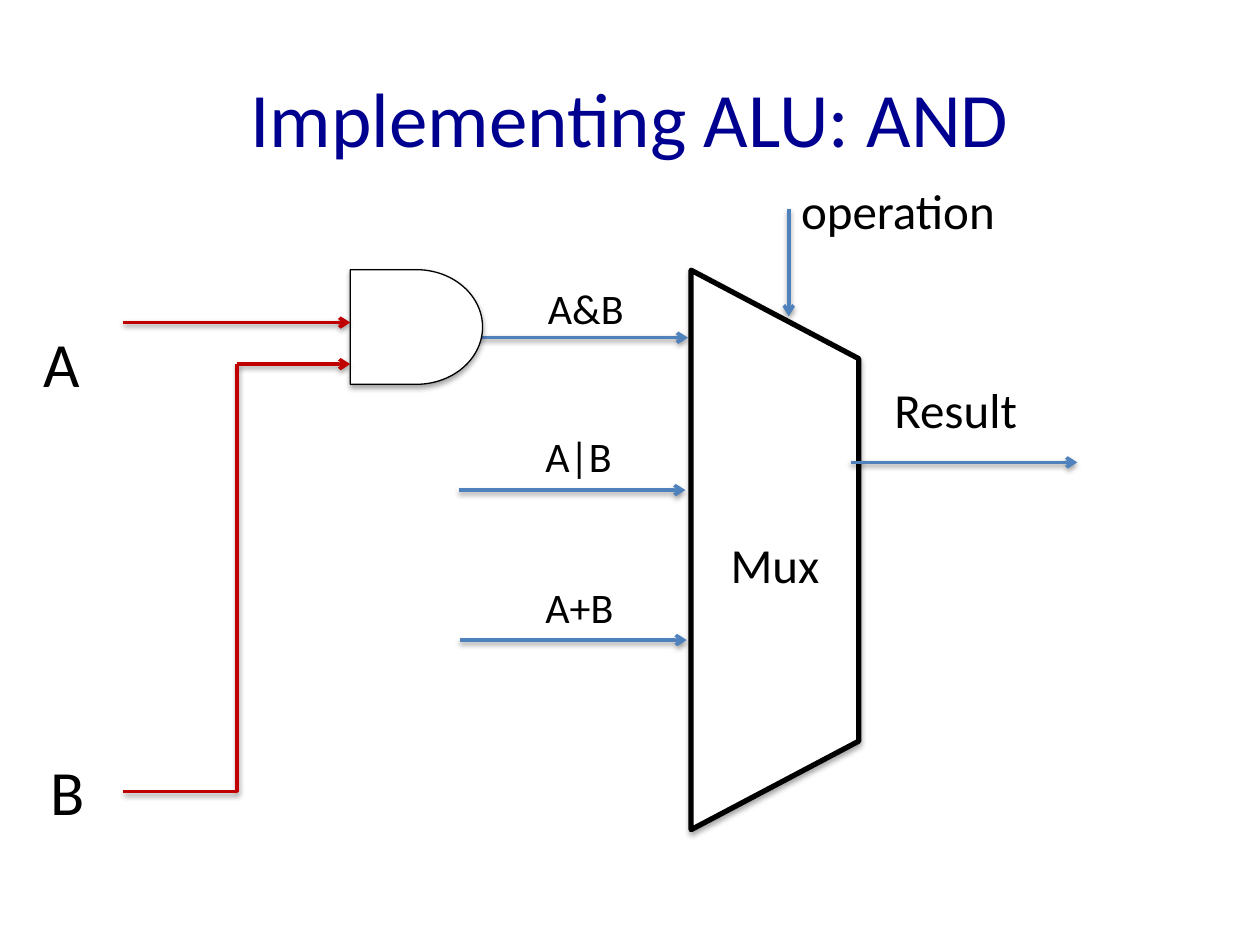
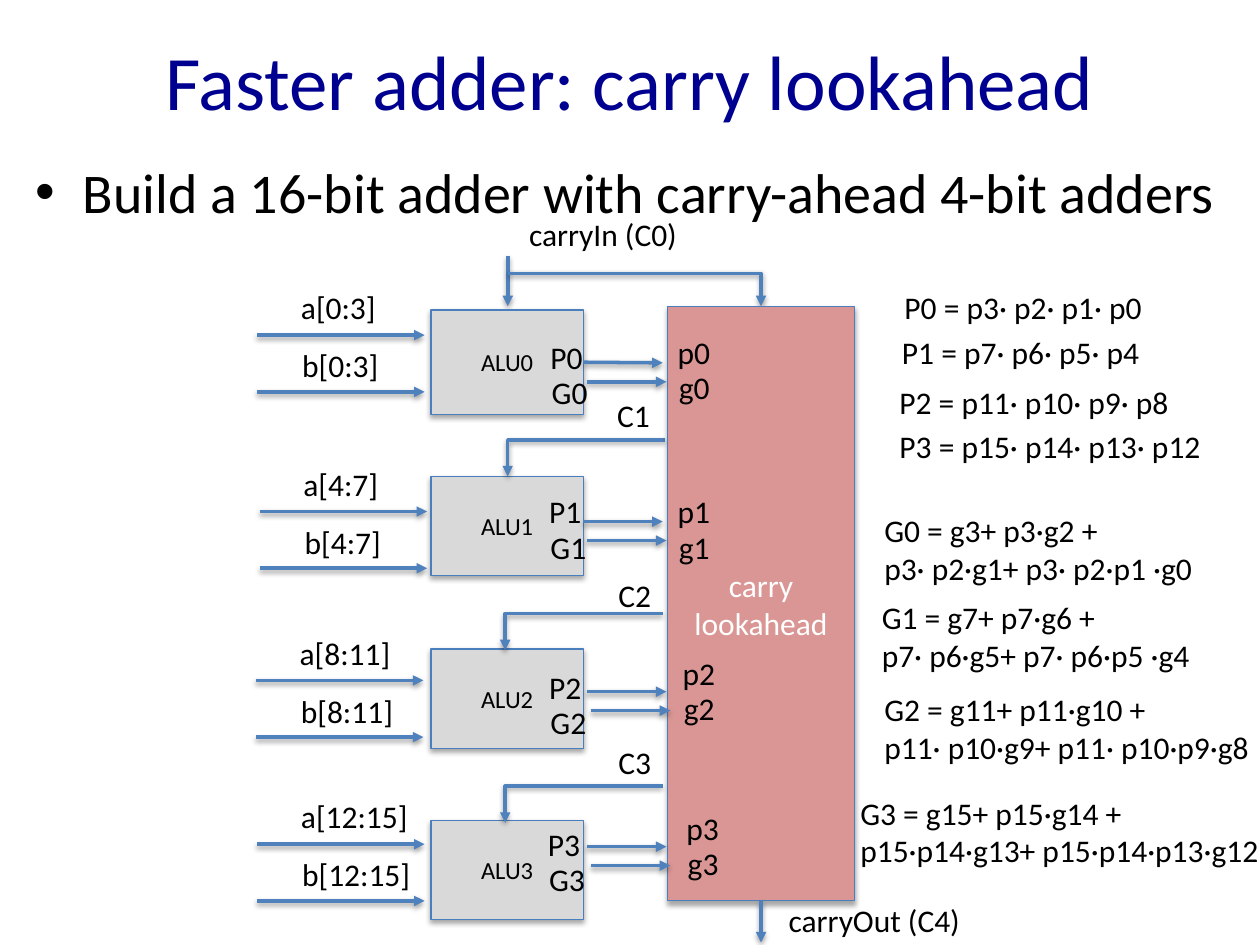
from dataclasses import dataclass

import pptx
import pptx.dml.color
import pptx.enum.shapes
import pptx.enum.text
import pptx.oxml
import pptx.oxml.ns
import pptx.util

Inches = pptx.util.Inches
Pt = pptx.util.Pt
Shape = pptx.enum.shapes.MSO_SHAPE
Link = pptx.enum.shapes.MSO_CONNECTOR
Anchor = pptx.enum.text.MSO_ANCHOR
Align = pptx.enum.text.PP_ALIGN
AutoSize = pptx.enum.text.MSO_AUTO_SIZE
LEFT, RIGHT, BOTTOM = 1, 3, 2


@dataclass(frozen=True)
class Theme:
    font: str = "Calibri"
    title: str = "000090"
    ink: str = "000000"
    paper: str = "FFFFFF"
    wire: str = "4F81BD"
    source_wire: str = "C00000"
    box_line: str = "4B7EBC"
    alu: str = "D9D9D9"
    lookahead: str = "D99694"
    title_size: int = 44
    bullet_size: int = 32
    port_size: int = 36
    name_size: int = 28
    choice_size: int = 24
    label_size: int = 18
    alu_size: int = 14
    wire_width: float = 2


T = Theme()


@dataclass(frozen=True)
class Stage:
    """One 4-bit ALU with the places of its wires and labels."""
    top: float
    height: float
    bits: str
    label_width: float
    inputs: tuple
    outputs: tuple
    upper: tuple
    lower: tuple


STAGES = [
    Stage(2.46, 0.83, "[0:3]", 0.8, (2.04, 2.66), (4.63, 2.88), (4.27, 2.63), (5.28, 2.59)),
    Stage(3.78, 0.79, "[4:7]", 0.8, (2.06, 4.06), (4.63, 4.14), (4.26, 3.86), (5.28, 3.86)),
    Stage(5.15, 0.79, "[8:11]", 0.93, (2.03, 5.4), (4.66, 5.49), (4.26, 5.25), (5.32, 5.14)),
    Stage(6.51, 0.79, "[12:15]", 1.06, (2.04, 6.7), (4.66, 6.72), (4.25, 6.5), (5.35, 6.37)),
]

# Start of each carry wire, then the place of its label
CARRIES = [
    ((5.28, 3.49), (4.8, 3.09)),
    ((5.26, 4.87), (4.81, 4.52)),
    ((5.26, 6.24), (4.81, 5.85)),
]

FORMULAS = [
    (7.08, 2.24, 2.11, ["P0 = p3· p2· p1· p0"]),
    (7.06, 2.59, 2.11, ["P1 = p7· p6· p5· p4"]),
    (7.04, 2.99, 2.37, ["P2 = p11· p10· p9· p8"]),
    (7.04, 3.34, 2.62, ["P3 = p15· p14· p13· p12"]),
    (6.92, 4.01, 2.73, ["G0 = g3+ p3·g2 +", "p3· p2·g1+ p3· p2·p1 ·g0"]),
    (6.9, 4.7, 2.73, ["G1 = g7+ p7·g6 +", "p7· p6·g5+ p7· p6·p5 ·g4"]),
    (6.92, 5.43, 3.19, ["G2 = g11+ p11·g10 +", "p11· p10·g9+ p11· p10·p9·g8"]),
    (6.73, 6.25, 3.57, ["G3 = g15+ p15·g14 +", "p15·p14·g13+ p15·p14·p13·g12"]),
]


# Formatting helpers
def rgb(color):
    return pptx.dml.color.RGBColor.from_string(color)


def apply(target, values):
    for name, value in values.items():
        setattr(target, name, value)


def add_xml(parent, xml):
    ns = pptx.oxml.ns.nsdecls("a")
    parent.append(pptx.oxml.parse_xml(xml.replace(" ", f" {ns} ", 1)))


def add_shadow(s, alpha, distance):
    add_xml(s.element.spPr, (
        f'<a:effectLst ><a:outerShdw blurRad="{Pt(3.1)}" dist="{Pt(distance)}" '
        'dir="5400000" rotWithShape="0"><a:srgbClr val="000000">'
        f'<a:alpha val="{alpha * 1000}"/></a:srgbClr></a:outerShdw></a:effectLst>'))


def set_line(s, color, width):
    s.line.color.rgb = rgb(color)
    s.line.width = Pt(width)


def write(tf, lines, size, color=T.ink, align=Align.LEFT):
    for i, line in enumerate(lines):
        p = tf.paragraphs[0] if i == 0 else tf.add_paragraph()
        p.alignment = align
        r = p.add_run()
        r.text = line
        apply(r.font, {"name": T.font, "size": Pt(size)})
        r.font.color.rgb = rgb(color)


# Kinds of element
def add_text(slide, x, y, w, lines, size=T.label_size):
    h = 0.1 + len(lines) * size / 60
    tf = slide.shapes.add_textbox(Inches(x), Inches(y), Inches(w), Inches(h)).text_frame
    apply(tf, {"word_wrap": False, "auto_size": AutoSize.SHAPE_TO_FIT_TEXT})
    write(tf, lines, size)


def add_title(slide, y, text):
    tf = slide.shapes.add_textbox(Inches(0.5), Inches(y), Inches(9), Inches(1.25)).text_frame
    apply(tf, {"word_wrap": True, "vertical_anchor": Anchor.MIDDLE})
    write(tf, [text], T.title_size, T.title, Align.CENTER)


def add_bullet(slide, x, y, w, h, text):
    tf = slide.shapes.add_textbox(Inches(x), Inches(y), Inches(w), Inches(h)).text_frame
    tf.word_wrap = True
    write(tf, [text], T.bullet_size)
    p = tf.paragraphs[0]
    p.space_before = Pt(T.bullet_size * 0.2)
    pPr = p._p.get_or_add_pPr()
    pPr.set("marL", str(Inches(0.38)))
    pPr.set("indent", str(Inches(-0.38)))
    add_xml(pPr, '<a:buFont typeface="Arial"/>')
    add_xml(pPr, '<a:buChar char="•"/>')


def add_block(slide, kind, x, y, w, h, fill, line, width=0.75):
    s = slide.shapes.add_shape(kind, Inches(x), Inches(y), Inches(w), Inches(h))
    s.fill.solid()
    s.fill.fore_color.rgb = rgb(fill)
    set_line(s, line, width)
    add_shadow(s, 35, 1.8)
    return s


def add_box(slide, x, y, w, h, fill, lines, size, color=T.ink):
    s = add_block(slide, Shape.RECTANGLE, x, y, w, h, fill, T.box_line)
    apply(s.text_frame, {"word_wrap": True, "vertical_anchor": Anchor.MIDDLE})
    write(s.text_frame, lines, size, color, Align.CENTER)
    return s


def add_wire(slide, start, end, color=T.wire, head="triangle", bent=False):
    """Draw a wire; a bent one runs sideways first, then up or down."""
    kind = Link.ELBOW if bent else Link.STRAIGHT
    s = slide.shapes.add_connector(kind, *(Inches(v) for v in (*start, *end)))
    if bent:
        s.element.spPr.find(pptx.oxml.ns.qn("a:prstGeom")).set("prst", "bentConnector2")
    set_line(s, color, T.wire_width)
    if head:
        add_xml(s.line._get_or_add_ln(), f'<a:tailEnd type="{head}"/>')
    add_shadow(s, 38, 1.6)
    return s


# Slide 1
def build_and_slide(slide):
    add_title(slide, 0.3, "Implementing ALU: AND")

    # Multiplexer with its select input and its result
    mux = add_block(slide, Shape.TRAPEZOID, 3.93, 3.7, 4.44, 1.33, T.paper, T.ink, 3)
    mux.rotation = 90
    mux.adjustments[0] = 0.528
    add_text(slide, 5.7, 4.19, 0.92, ["Mux"], T.name_size)
    add_wire(slide, (6.75, 3.67), (8.55, 3.67), head="arrow")
    add_text(slide, 7, 2.96, 1.19, ["Result"], T.name_size)
    add_wire(slide, (6.26, 1.66), (6.26, 2.51), head="arrow")
    add_text(slide, 6.26, 1.38, 1.76, ["operation"], T.name_size)

    # Choices entering the multiplexer
    for label, x, y, label_x, label_y, w in [
        ("A&B", 3.66, 2.68, 4.25, 2.19, 0.81),
        ("A|B", 3.64, 3.89, 4.23, 3.37, 0.73),
        ("A+B", 3.65, 5.08, 4.23, 4.57, 0.75),
    ]:
        add_wire(slide, (x, y), (x + 1.8, y), head="arrow")
        add_text(slide, label_x, label_y, w, [label], T.choice_size)

    # AND gate and its two sources
    add_block(slide, Shape.FLOWCHART_DELAY, 2.78, 2.14, 1.05, 0.91, T.paper, T.ink)
    add_text(slide, 0.25, 2.53, 0.5, ["A"], T.port_size)
    add_text(slide, 0.3, 5.92, 0.48, ["B"], T.port_size)
    add_wire(slide, (0.98, 2.56), (2.78, 2.56), T.source_wire, "arrow")
    add_wire(slide, (1.88, 2.89), (2.78, 2.89), T.source_wire, "arrow")
    add_wire(slide, (0.98, 6.28), (1.88, 2.89), T.source_wire, None, bent=True)


# Slide 2
def add_alu(slide, i, stage):
    alu = add_box(slide, 3.42, stage.top, 1.21, stage.height, T.alu, [f"ALU{i}"], T.alu_size)
    x, y = stage.inputs
    for line_y in (y, y + 0.45):
        add_wire(slide, (x, line_y), (x + 1.33, line_y))
    add_text(slide, x + 0.25, y - 0.42, stage.label_width, ["a" + stage.bits])
    add_text(slide, x + 0.26, y + 0.04, stage.label_width + 0.01, ["b" + stage.bits])
    return alu


def add_outputs(slide, stage):
    x, y = stage.outputs
    add_wire(slide, (x + 0.03, y + 0.15), (x + 0.66, y + 0.15))
    return add_wire(slide, (x, y), (x + 0.63, y))


def add_pair(slide, place, names, widths):
    x, y = place
    for k, (name, w) in enumerate(zip(names, widths)):
        add_text(slide, x + 0.01 * k, y + 0.28 * k, w, [name])


def build_lookahead_slide(slide):
    add_title(slide, 0.01, "Faster adder: carry lookahead")
    add_bullet(slide, 0.18, 1.2, 9.63, 0.62,
               "Build a 16-bit adder with carry-ahead 4-bit adders")

    # Carry into the first ALU
    add_wire(slide, (4.03, 2.03), (4.03, 2.43))
    add_text(slide, 4.1, 1.66, 1.39, ["carryIn (C0)"])

    alus = [add_alu(slide, i, stage) for i, stage in enumerate(STAGES)]

    # Carries between stages
    for i, ((x, y), (label_x, label_y)) in enumerate(CARRIES, 1):
        add_wire(slide, (x, y), (x - 1.25, y + 0.29), bent=True)
        add_text(slide, label_x, label_y, 0.46, [f"C{i}"])
    add_wire(slide, (4.03, 2.17), (6.04, 2.43), bent=True)

    # Lookahead unit and carry out
    unit = add_box(slide, 5.3, 2.43, 1.48, 4.72, T.lookahead,
                   ["carry", "lookahead"], T.label_size, T.paper)
    wires = [add_outputs(slide, stage) for stage in STAGES]
    wires[0].begin_connect(alus[0], RIGHT)
    carry_out = add_wire(slide, (6.04, 7.15), (6.04, 7.48))
    carry_out.begin_connect(unit, BOTTOM)
    add_text(slide, 6.16, 7.1, 1.58, ["carryOut (C4)"])

    # Propagate and generate labels
    for i, stage in enumerate(STAGES):
        add_pair(slide, stage.lower, (f"p{i}", f"g{i}"), (0.46, 0.45))
        add_pair(slide, stage.upper, (f"P{i}", f"G{i}"), (0.46, 0.49))

    for x, y, w, lines in FORMULAS:
        add_text(slide, x, y, w, lines)


def main():
    prs = pptx.Presentation()
    apply(prs, {"slide_width": Inches(10), "slide_height": Inches(7.5)})
    for build in (build_and_slide, build_lookahead_slide):
        build(prs.slides.add_slide(prs.slide_layouts[6]))
    prs.save("out.pptx")


if __name__ == "__main__":
    main()
